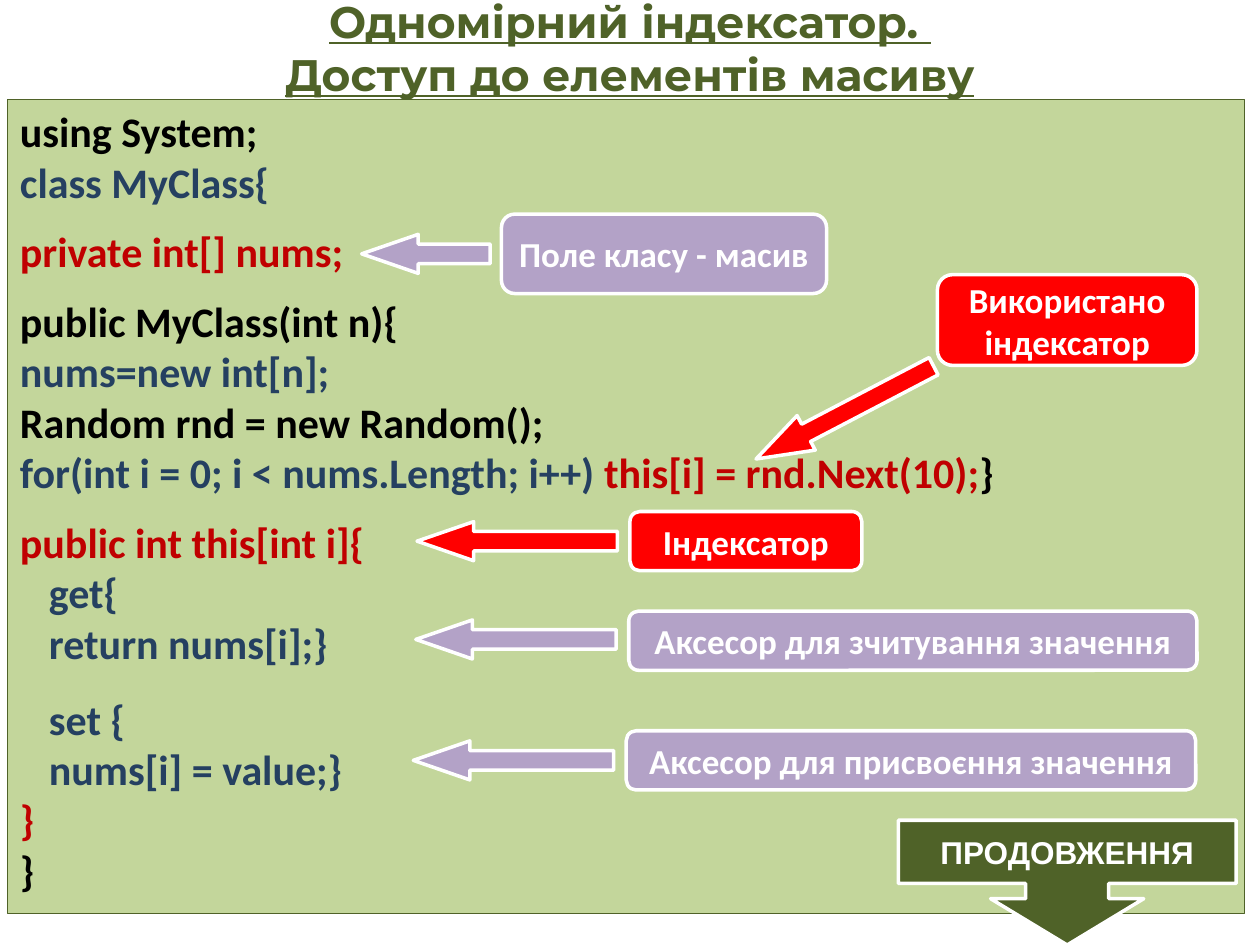
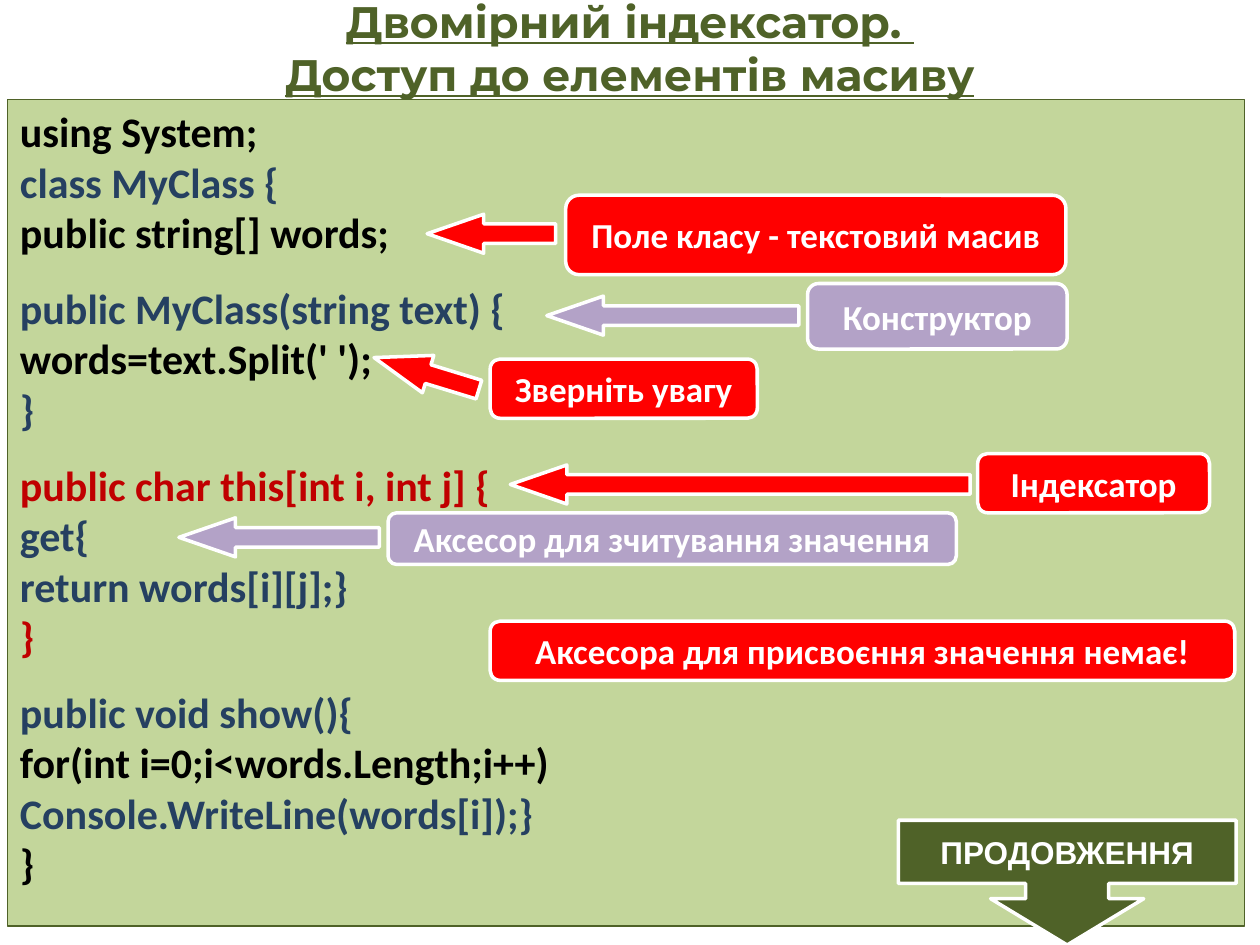
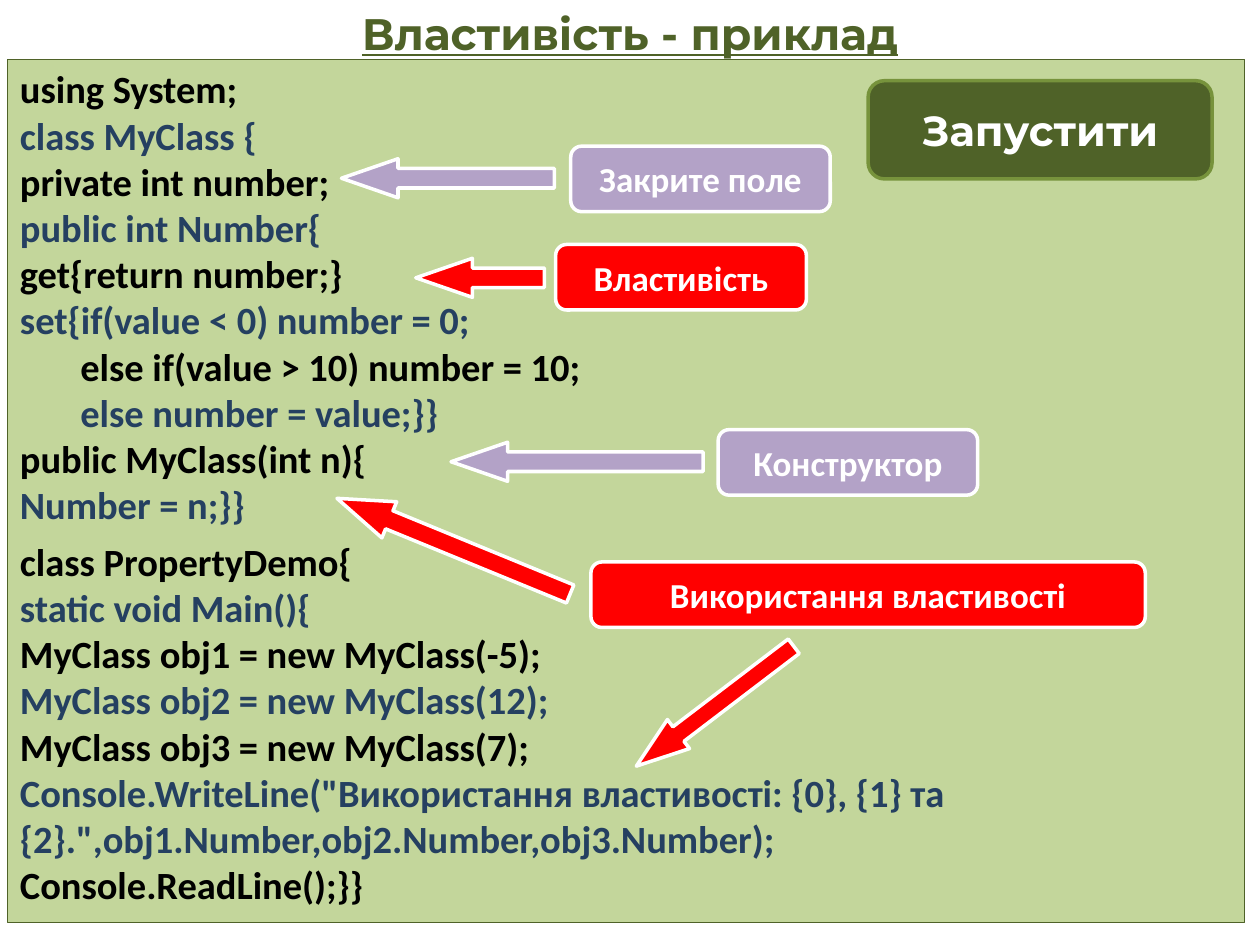
from dataclasses import dataclass

from pptx import Presentation
from pptx.dml.color import RGBColor
from pptx.enum.shapes import MSO_SHAPE as Preset
from pptx.enum.text import MSO_ANCHOR as Anchor, PP_ALIGN as Align
from pptx.util import Inches, Pt

BLACK, WHITE, NAVY, CRIMSON = "000000", "FFFFFF", "254061", "C00000"
RED, LILAC = "FF0000", "B3A2C7"
OLIVE, LEAF, PALE = "4F6228", "77933C", "C3D69B"


def rgb(value):
    return RGBColor.from_string(value)


@dataclass
class Line:
    runs: list
    gap: float = 0
    indent: float = 0


def line(text, color, gap=0, indent=0):
    return Line([(text, color)], gap, indent)


class Deck:
    title_font, body_font, button_font = "Montserrat", "Calibri", "Arial"

    def __init__(self):
        self.presentation = Presentation()
        self.presentation.slide_width = Inches(10)
        self.presentation.slide_height = Inches(7.5)
        self.slide = None

    def add_slide(self):
        layout = self.presentation.slide_layouts[6]
        self.slide = self.presentation.slides.add_slide(layout)

    def add_run(self, paragraph, text, size, color, font, underline=None):
        run = paragraph.add_run()
        run.text = text
        run.font.size = Pt(size)
        run.font.name = font
        run.font.bold = True
        run.font.underline = underline
        run.font.color.rgb = rgb(color)

    def add_title(self, lines, height):
        shape = self.slide.shapes.add_textbox(0, 0, Inches(10), Inches(height))
        frame = shape.text_frame
        frame.word_wrap = True
        frame.vertical_anchor = Anchor.MIDDLE
        frame.margin_top = frame.margin_bottom = 0
        paragraph = frame.paragraphs[0]
        paragraph.alignment = Align.CENTER
        for index, text in enumerate(lines):
            if index:
                paragraph.add_line_break()
            self.add_run(paragraph, text, 25.2, OLIVE, self.title_font, True)

    def add_shape(self, preset, box, fill, outline=WHITE, width=2):
        shape = self.slide.shapes.add_shape(preset, *map(Inches, box))
        shape.shadow.inherit = False
        shape.fill.solid()
        shape.fill.fore_color.rgb = rgb(fill)
        shape.line.color.rgb = rgb(outline)
        shape.line.width = Pt(width)
        return shape

    def add_code(self, top, height, size, lines):
        box = (0.06, top, 9.82, height)
        shape = self.add_shape(Preset.RECTANGLE, box, PALE, OLIVE, 0.75)
        frame = shape.text_frame
        frame.word_wrap = True
        frame.vertical_anchor = Anchor.TOP
        for index, item in enumerate(lines):
            paragraph = frame.add_paragraph() if index else frame.paragraphs[0]
            paragraph.alignment = Align.LEFT
            paragraph.space_before = Pt(item.gap)
            properties = paragraph._p.get_or_add_pPr()
            properties.set("marL", str(Inches(item.indent)))
            for text, color in item.runs:
                self.add_run(paragraph, text, size, color, self.body_font)

    def add_label(self, shape, text, size, font):
        frame = shape.text_frame
        frame.word_wrap = True
        frame.vertical_anchor = Anchor.MIDDLE
        paragraph = frame.paragraphs[0]
        paragraph.alignment = Align.CENTER
        self.add_run(paragraph, text, size, WHITE, font)

    def add_callout(self, text, fill, box):
        shape = self.add_shape(Preset.ROUNDED_RECTANGLE, box, fill)
        self.add_label(shape, text, 20, self.body_font)

    def add_arrow(self, fill, left, top, width, height=0.31, rotation=0):
        box = (left, top, width, height)
        shape = self.add_shape(Preset.LEFT_ARROW, box, fill)
        shape.adjustments[1] = 1.449
        shape.rotation = rotation

    def add_continuation(self):
        box = (7.13, 6.51, 2.68, 0.99)
        shape = self.add_shape(Preset.DOWN_ARROW_CALLOUT, box, OLIVE)
        for index, value in enumerate((0.666, 0.614, 0.371, 0.507)):
            shape.adjustments[index] = value
        self.add_label(shape, "ПРОДОВЖЕННЯ", 18, self.button_font)

    def add_button(self, text, box):
        shape = self.add_shape(Preset.ROUNDED_RECTANGLE, box, OLIVE, LEAF)
        self.add_label(shape, text, 24, self.title_font)


ARRAY_ACCESS = "Доступ до елементів масиву"
INDEXER = "Індексатор"
CONSTRUCTOR = "Конструктор"
READ_ACCESSOR = "Аксесор для зчитування значення"

deck = Deck()

deck.add_slide()
deck.add_title(["Одномірний індексатор. ", ARRAY_ACCESS], 0.76)
deck.add_code(0.79, 6.46, 24, [
    line("using System;", BLACK),
    line("class MyClass{", NAVY),
    line("private int[] nums;", CRIMSON, gap=11),
    line("public MyClass(int n){", BLACK, gap=11),
    line("nums=new int[n];", NAVY),
    line("Random rnd = new Random();", BLACK),
    Line([("for(int i = 0; i < nums.Length; i++) ", NAVY),
          ("this[i] = rnd.Next(10);", CRIMSON), ("}", BLACK)]),
    line("public int this[int i]{", CRIMSON, gap=11),
    line("get{", NAVY, indent=0.23),
    line("return nums[i];}", NAVY, indent=0.23),
    line("set {", NAVY, gap=14.6, indent=0.23),
    line("nums[i] = value;}", NAVY, indent=0.23),
    line("}", CRIMSON),
    line("}", BLACK),
])
deck.add_arrow(LILAC, 2.87, 1.86, 1.02)
deck.add_callout("Поле класу - масив", LILAC, (3.98, 1.7, 2.58, 0.63))
deck.add_arrow(RED, 5.91, 3.12, 1.59, rotation=332.4)
deck.add_callout("Використано індексатор", RED, (7.44, 2.18, 2.06, 0.72))
deck.add_arrow(RED, 3.31, 4.14, 1.59)
deck.add_callout(INDEXER, RED, (5, 4.06, 1.84, 0.47))
deck.add_continuation()
deck.add_arrow(LILAC, 3.3, 4.92, 1.59)
deck.add_callout(READ_ACCESSOR, LILAC, (4.99, 4.85, 4.51, 0.47))
deck.add_arrow(LILAC, 3.28, 5.88, 1.59)
deck.add_callout("Аксесор для присвоєння значення", LILAC, (4.97, 5.8, 4.52, 0.47))

deck.add_slide()
deck.add_title(["Двомірний індексатор. ", ARRAY_ACCESS], 0.76)
deck.add_code(0.79, 6.56, 24, [
    line("using System;", BLACK),
    line("class MyClass {", NAVY),
    line("public string[] words;", BLACK),
    line("public MyClass(string text) { ", NAVY, gap=14.6),
    line("words=text.Split(' ');", BLACK),
    line("}", NAVY),
    line("public char this[int i, int j] {", CRIMSON, gap=14.6),
    line("get{", NAVY),
    line("return words[i][j];}", NAVY),
    line("}", CRIMSON),
    line("public void show(){", NAVY, gap=14.6),
    line("for(int i=0;i<words.Length;i++)", BLACK),
    line("Console.WriteLine(words[i]);}", NAVY),
    line("}", BLACK),
])
deck.add_arrow(RED, 3.39, 1.7, 1.02)
deck.add_callout("Поле класу - текстовий масив", RED, (4.49, 1.55, 3.97, 0.63))
deck.add_arrow(LILAC, 4.34, 2.35, 2)
deck.add_callout(CONSTRUCTOR, LILAC, (6.41, 2.25, 2.06, 0.52))
deck.add_arrow(RED, 2.95, 2.81, 0.87, rotation=17)
deck.add_callout("Зверніть увагу", RED, (3.89, 2.85, 2.12, 0.47))
deck.add_continuation()
deck.add_arrow(RED, 4.05, 3.69, 3.65)
deck.add_callout(INDEXER, RED, (7.76, 3.6, 1.84, 0.47))
deck.add_arrow(LILAC, 1.42, 4.11, 1.59)
deck.add_callout(READ_ACCESSOR, LILAC, (3.08, 4.07, 4.51, 0.41))
deck.add_callout("Аксесора для присвоєння значення немає!", RED,
                 (3.89, 4.93, 5.91, 0.47))

deck.add_slide()
deck.add_title(["Властивість - приклад"], 0.52)
deck.add_code(0.47, 6.85, 22, [
    line("using System;", BLACK),
    line("class MyClass {", NAVY),
    line("private int number;", BLACK),
    line("public int Number{", NAVY),
    line("get{return number;}", BLACK),
    line("set{if(value < 0) number = 0;", NAVY),
    line("else if(value > 10) number = 10;", BLACK, indent=0.48),
    line("else number = value;}}", NAVY, indent=0.48),
    line("public MyClass(int n){", BLACK),
    line("Number = n;}}", NAVY),
    line("class PropertyDemo{", BLACK, gap=6.1),
    line("static void Main(){", NAVY),
    line("MyClass obj1 = new MyClass(-5);", BLACK),
    line("MyClass obj2 = new MyClass(12);", NAVY),
    line("MyClass obj3 = new MyClass(7);", BLACK),
    line("Console.WriteLine(\"Використання властивостi: {0}, {1} та {2}.\","
         "obj1.Number,obj2.Number,obj3.Number);", NAVY),
    line("Console.ReadLine();}}", BLACK),
])
deck.add_callout("Властивість", RED, (4.41, 1.94, 1.99, 0.52))
deck.add_arrow(RED, 2.6, 4.18, 2, rotation=22.3)
deck.add_callout(CONSTRUCTOR, LILAC, (5.7, 3.41, 2.06, 0.52))
deck.add_arrow(RED, 3.3, 2.05, 1.02)
deck.add_arrow(LILAC, 3.58, 3.51, 2)
deck.add_callout("Використання властивості", RED, (4.69, 4.46, 4.4, 0.52))
deck.add_button("Запустити", (6.89, 0.64, 2.73, 0.78))
deck.add_callout("Закрите поле", LILAC, (4.53, 1.16, 2.06, 0.52))
deck.add_arrow(LILAC, 2.71, 1.26, 1.69)
deck.add_arrow(RED, 4.89, 5.46, 1.57, height=0.29, rotation=322.7)

deck.presentation.save("out.pptx")
